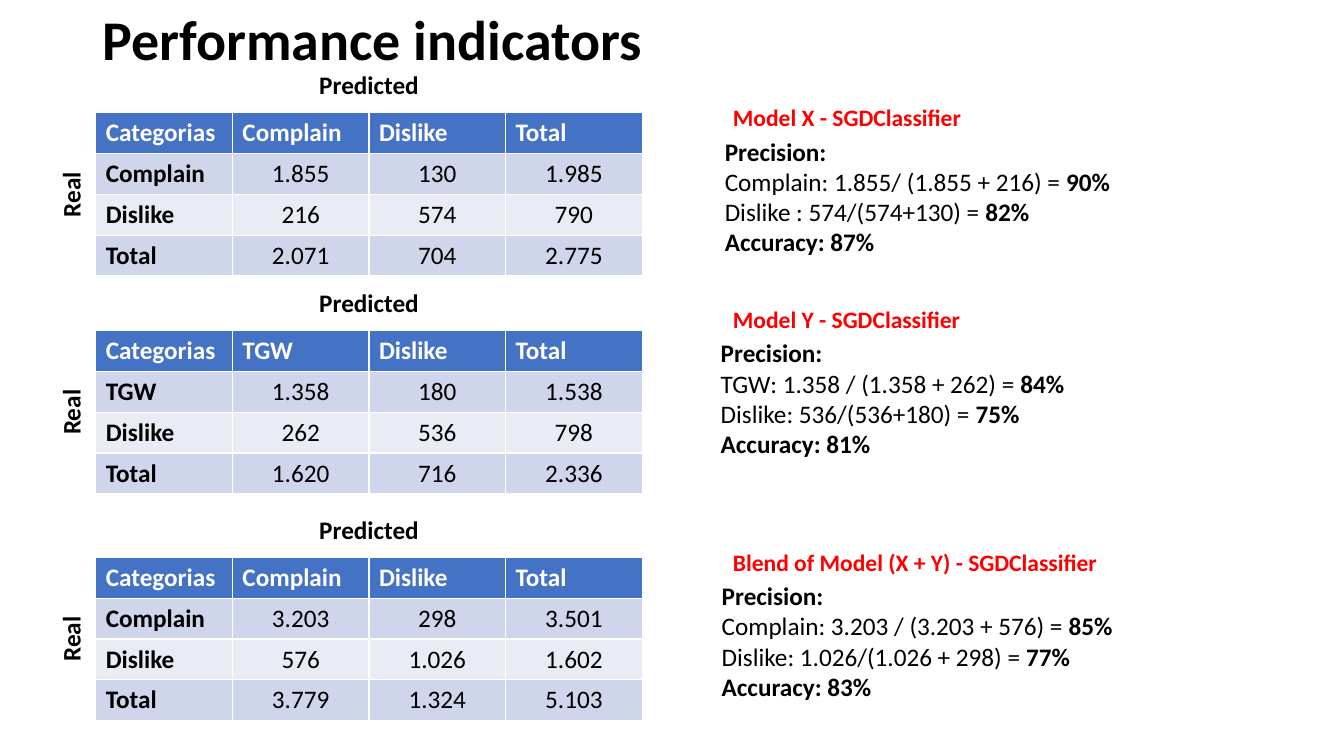
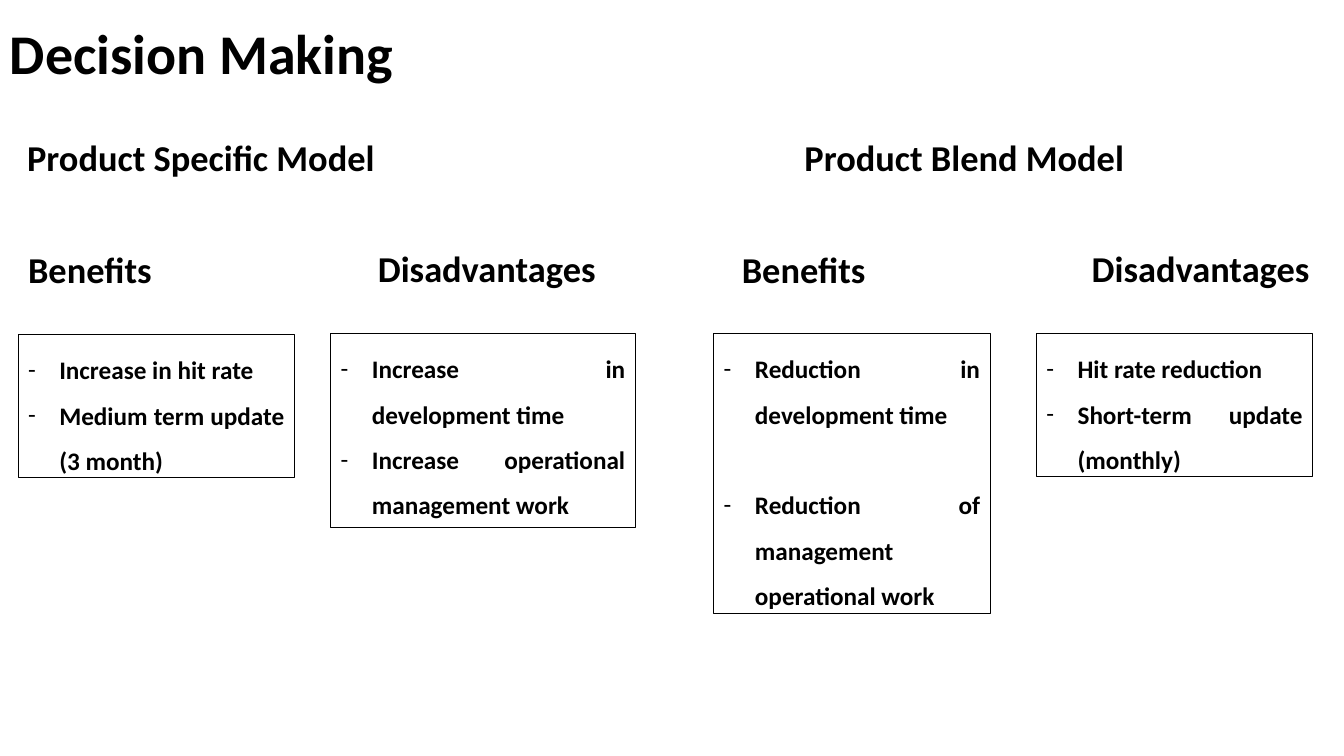
from lxml.etree import SubElement
from pptx import Presentation
from pptx.dml.color import RGBColor
from pptx.enum.shapes import MSO_SHAPE
from pptx.enum.text import MSO_ANCHOR, PP_ALIGN
from pptx.oxml.ns import qn
from pptx.util import Inches, Pt

BLACK = RGBColor(0x00, 0x00, 0x00)
WHITE = RGBColor(0xFF, 0xFF, 0xFF)
RED = RGBColor(0xFF, 0x00, 0x00)
HEADER_BLUE = RGBColor(0x44, 0x72, 0xC4)
BAND_DARK = RGBColor(0xCF, 0xD5, 0xEA)
BAND_LIGHT = RGBColor(0xE9, 0xEB, 0xF5)

TITLE = {"size": 40}
LABEL = {"size": 18, "alignment": PP_ALIGN.CENTER}
MODEL_NAME = {"size": 16.8, "color": RED, "alignment": PP_ALIGN.JUSTIFY,
              "line_spacing": 1.3, "space_before": Pt(10)}
HEADING = {"size": 26, "alignment": PP_ALIGN.JUSTIFY, "line_spacing": 1.5}
BULLET = {"size": 18, "alignment": PP_ALIGN.JUSTIFY, "line_spacing": 1.5}


def write(para, runs, size, color=BLACK, **paragraph_format):
    """Fill a paragraph with (text, bold) runs."""
    for name, value in paragraph_format.items():
        setattr(para, name, value)
    for text, bold in runs:
        span = para.add_run()
        span.text = text
        span.font.color.rgb = color
        for name, value in {"name": "Calibri", "size": Pt(size), "bold": bold}.items():
            setattr(span.font, name, value)


def add_text(slide, place, lines, style):
    """Add a text box with one paragraph per list of runs."""
    box = slide.shapes.add_textbox(*map(Inches, place))
    frame = box.text_frame
    frame.word_wrap = True
    for index, runs in enumerate(lines):
        para = frame.add_paragraph() if index else frame.paragraphs[0]
        write(para, runs, **style)
    return box


deck = Presentation()
deck.slide_width, deck.slide_height = Inches(13.33), Inches(7.5)
blank = deck.slide_layouts[6]

# Performance indicators: a confusion matrix and its scores per model
slide = deck.slides.add_slide(blank)
add_text(slide, (0.92, 0, 11.5, 0.68), [[("Performance indicators", True)]], TITLE)

# name, table top, name top, scores left, first class, matrix rows, scores
models = [
    ("Model X - SGDClassifier", 1.12, 0.89, 7.09, "Complain",
     [("1.855", "130", "1.985"), ("216", "574", "790"), ("2.071", "704", "2.775")],
     [("Complain: 1.855/ (1.855 + 216) = ", "90%"),
      ("Dislike : 574/(574+130) = ", "82%")], "87%"),
    ("Model Y - SGDClassifier", 3.28, 2.89, 7.05, "TGW",
     [("1.358", "180", "1.538"), ("262", "536", "798"), ("1.620", "716", "2.336")],
     [("TGW: 1.358 / (1.358 + 262) = ", "84%"),
      ("Dislike: 536/(536+180) = ", "75%")], "81%"),
    ("Blend of Model (X + Y) - SGDClassifier", 5.53, 5.3, 7.06, "Complain",
     [("3.203", "298", "3.501"), ("576", "1.026", "1.602"), ("3.779", "1.324", "5.103")],
     [("Complain: 3.203 / (3.203 + 576) = ", "85%"),
      ("Dislike: 1.026/(1.026 + 298) = ", "77%")], "83%"),
]
for name, top, name_top, scores_left, category, matrix, precisions, accuracy in models:
    labels = [category, "Dislike", "Total"]
    rows = [["Categorias", *labels]]
    rows += [[label, *values] for label, values in zip(labels, matrix)]
    table = slide.shapes.add_table(
        4, 4, Inches(0.95), Inches(top), Inches(5.42), Inches(1.62)).table
    for row, values in enumerate(rows):
        for column, value in enumerate(values):
            cell = table.cell(row, column)
            cell.fill.solid()
            cell.fill.fore_color.rgb = (HEADER_BLUE, BAND_DARK, BAND_LIGHT, BAND_DARK)[row]
            is_number = row > 0 and column > 0
            write(cell.text_frame.paragraphs[0], [(value, not is_number)], 18,
                  WHITE if row == 0 else BLACK,
                  alignment=PP_ALIGN.CENTER if is_number else PP_ALIGN.LEFT)

    add_text(slide, (2.64, top - 0.48, 2.04, 0.42), [[("Predicted", True)]], LABEL)
    real = add_text(slide, (-0.31, top + 0.6, 2.04, 0.42), [[("Real", True)]], LABEL)
    real.rotation = 270

    add_text(slide, (7.17, name_top, 5.12, 0.47), [[(name, True)]], MODEL_NAME)
    scores = [[("Precision:", True)]]
    scores += [[(formula, False), (result, True)] for formula, result in precisions]
    scores.append([(f"Accuracy: {accuracy}", True)])
    add_text(slide, (scores_left, name_top + 0.41, 5.53, 1.31), scores, {"size": 18})

# Decision making: benefits and disadvantages of both approaches
slide = deck.slides.add_slide(blank)
add_text(slide, (0, 0.13, 13.3, 0.77), [[("Decision Making", True)]], TITLE)

headings = [
    ("Product Specific Model", 0.17, 1.07, 4.92),
    ("Product Blend Model", 7.88, 1.07, 4.92),
    ("Benefits", 0.18, 2.19, 1.8),
    ("Disadvantages", 3.65, 2.18, 2.4),
    ("Benefits", 7.26, 2.19, 1.8),
    ("Disadvantages", 10.73, 2.18, 2.4),
]
for text, left, top, width in headings:
    add_text(slide, (left, top, width, 0.69), [[(text, True)]], HEADING)

# place, gap between the points, points
arguments = [
    ((0.18, 3.32, 2.74, 1.42), 0,
     ["Increase in hit rate", "Medium term update (3 month)"]),
    ((3.28, 3.31, 3.02, 1.92), 0,
     ["Increase in development time", "Increase operational management work"]),
    ((7.08, 3.31, 2.74, 2.78), 32.4,
     ["Reduction in development time", "Reduction of management operational work"]),
    ((10.28, 3.31, 2.74, 1.42), 0,
     ["Hit rate reduction", "Short-term update (monthly)"]),
]
for place, gap, points in arguments:
    box = slide.shapes.add_shape(MSO_SHAPE.RECTANGLE, *map(Inches, place))
    box.shadow.inherit = False
    box.fill.background()
    box.line.color.rgb = BLACK
    box.line.width = Pt(0.75)
    frame = box.text_frame
    frame.word_wrap = True
    frame.vertical_anchor = MSO_ANCHOR.TOP
    for index, point in enumerate(points):
        para = frame.add_paragraph() if index else frame.paragraphs[0]
        write(para, [(point, True)], **BULLET, space_before=Pt(gap if index else 0))
        properties = para._p.get_or_add_pPr()
        properties.set("marL", str(Inches(0.31)))
        properties.set("indent", str(-Inches(0.31)))
        SubElement(properties, qn("a:buFont")).set("typeface", "Calibri")
        SubElement(properties, qn("a:buChar")).set("char", "-")

deck.save("out.pptx")
